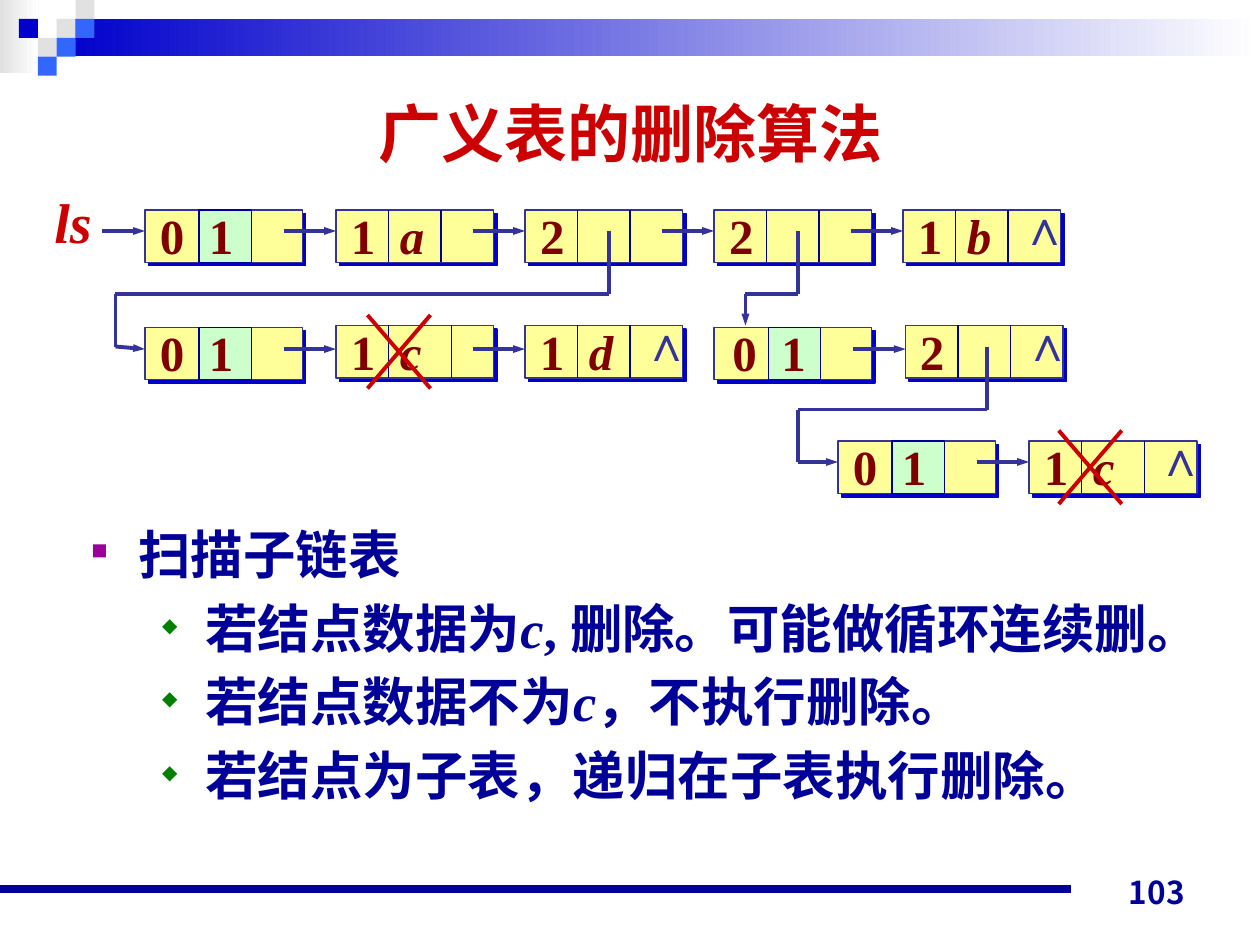
from itertools import pairwise
from lxml.etree import SubElement
from pptx import Presentation
from pptx.dml.color import RGBColor as RGB
from pptx.enum.shapes import MSO_CONNECTOR as CONN, MSO_SHAPE as SHAPE
from pptx.enum.text import MSO_ANCHOR as ANCHOR, PP_ALIGN as ALIGN
from pptx.oxml.ns import qn
from pptx.util import Pt


class Theme:
    royal, sky, silver, white = "0000CC", "3366FF", "E1E1E1", "FFFFFF"
    navy, indigo, red, maroon = "000099", "333399", "CC0000", "800000"
    node, header, purple, green = "FFFF99", "CCFFCC", "990099", "008000"
    serif, sans, cjk = "Times New Roman", "Arial", "Noto Sans CJK JP"
    title, head, body, cell, page = Pt(36), Pt(32), Pt(30), Pt(28), Pt(18)
    thin, link, rule = Pt(0.75), Pt(2.25), Pt(4.5)


prs = Presentation()
prs.slide_width, prs.slide_height = Pt(720), Pt(540)
s = prs.slides.add_slide(prs.slide_layouts[6])


def add_line(start, end, color, width, arrow=False):
    c = s.shapes.add_connector(CONN.STRAIGHT, *map(Pt, start + end))
    c.line.color.rgb = RGB.from_string(color)
    c.line.width = width
    if arrow:
        SubElement(c.get_or_add_ln(), qn("a:tailEnd"), type="triangle", w="sm")
    SubElement(c._element.spPr, qn("a:effectLst"))


def add_text(box, runs, color, fmt, wrap=False, anchor=ANCHOR.TOP, align=ALIGN.LEFT, tab=0):
    tf = s.shapes.add_textbox(*map(Pt, box)).text_frame
    tf.word_wrap = wrap
    tf.vertical_anchor = anchor
    p = tf.paragraphs[0]
    p.alignment = align
    if tab:
        tabs = SubElement(p._p.get_or_add_pPr(), qn("a:tabLst"))
        SubElement(tabs, qn("a:tab"), pos=str(Pt(tab)), algn="l")
    for text, italic in runs:
        r = p.add_run()
        r.text = text
        r.font.color.rgb = RGB.from_string(color)
        for key, value in {**fmt, "italic": italic}.items():
            setattr(r.font, key, value)


bands = [(0, 0, 22, 42, Theme.silver), (32.5, 10.8, 687.5, 21.5, Theme.royal)]
for x, y, w, h, color in bands:
    sp = s.shapes.add_shape(SHAPE.RECTANGLE, *map(Pt, (x, y, w, h)))
    sp.shadow.inherit = False
    sp.line.fill.background()
    sp.fill.gradient()
    sp.fill.gradient_angle = 0
    for stop, stop_color, pos in zip(sp.fill.gradient_stops, (color, Theme.white), (0, 1)):
        stop.color.rgb = RGB.from_string(stop_color)
        stop.position = pos

side = 10.8
tiles = [(3, 1, Theme.silver), (4, 0, Theme.silver), (4, 1, Theme.sky),
         (2, 2, Theme.silver), (1, 1, Theme.royal), (3, 2, Theme.sky), (2, 3, Theme.sky)]
for col, row, color in tiles:
    sp = s.shapes.add_shape(SHAPE.RECTANGLE, Pt(col * side), Pt(row * side), Pt(side), Pt(side))
    sp.shadow.inherit = False
    sp.line.fill.background()
    sp.fill.solid()
    sp.fill.fore_color.rgb = RGB.from_string(color)

add_line((0, 508), (612, 508), Theme.navy, Theme.rule)
add_text((516, 488, 168, 36), [("103", False)], Theme.navy,
         {"size": Theme.page, "name": Theme.cjk, "bold": True}, True, ANCHOR.BOTTOM, ALIGN.RIGHT)
add_text((36.5, 40, 648, 71), [("广义表的删除算法", False)], Theme.red,
         {"size": Theme.title, "name": Theme.sans, "bold": True},
         True, ANCHOR.MIDDLE, ALIGN.CENTER)

cell_fmt = {"size": Theme.cell, "name": Theme.serif, "bold": True}
chains = [
    (132, [(82.8, 120, 90, 1.5, "0", "1", (31, 61), False),
           (192, 120, 90, 1.5, "1", "a", (30, 60), False),
           (300, 120, 90, 1.5, "2", "", (30, 60), False),
           (408, 120, 90, 1.5, "2", "", (30, 60), False),
           (516, 120, 90, 1.5, "1", "b", (30, 60), True)]),
    (199.5, [(82.8, 187, 90, 1.5, "0", "1", (), False),
             (192, 186, 90, 1.5, "1", "c", (30, 66), False),
             (300, 186, 90, 1.5, "1", "d", (30, 60), True)]),
    (199.5, [(408, 187, 90, 3.5, "0", "1", (), False),
             (517.5, 186, 90, 1, "2", "", (30, 60), True)]),
    (264, [(478.8, 252, 90, 1.5, "0", "1", (), False),
           (588, 252, 96, 1.5, "1", "c", (30, 66), True)]),
]
links = [
    [(58.5, 132), (82.8, 132)],
    [(348, 132), (348, 168), (66, 168), (66, 198), (82.8, 199.5)],
    [(456, 132), (456, 168), (426, 168), (426, 186)],
    [(564, 198), (564, 234), (456, 234), (456, 264), (478.8, 264)],
]

for link_y, nodes in chains:
    for x, y, w, dx, tag, value, dividers, is_last in nodes:
        boxes = [(x, w, Theme.node, Theme.indigo)]
        if tag == "0":
            boxes.append((x + 31, 30, Theme.header, Theme.navy))
        for left, width, fill, outline in boxes:
            sp = s.shapes.add_shape(SHAPE.RECTANGLE, Pt(left), Pt(y), Pt(width), Pt(30))
            sp.fill.solid()
            sp.fill.fore_color.rgb = RGB.from_string(fill)
            sp.line.color.rgb = RGB.from_string(outline)
            sp.line.width = Theme.thin
            sp.shadow.inherit = False
            if fill == Theme.node:
                effects = sp._element.spPr.find(qn("a:effectLst"))
                shadow = SubElement(effects, qn("a:outerShdw"), dist=str(Pt(2.8)),
                                    dir="2700000", algn="ctr", rotWithShape="0")
                SubElement(shadow, qn("a:srgbClr"), val=Theme.royal)
        for offset in dividers:
            add_line((x + offset, y), (x + offset, y + 30), Theme.navy, Theme.thin)
        runs = [(tag + "\t", False), (value, value.isalpha())] if value else [(tag, False)]
        add_text((x + dx, y - 6, 72 if value else 29, 41), runs, Theme.maroon, cell_fmt,
                 wrap=bool(value), tab=28 if value else 0)
        if is_last:
            add_text((x + w - 30, y - 11, 32, 41), [("∧", False)], Theme.indigo, cell_fmt)
    links += [[(node[0] - 30, link_y), (node[0], link_y)] for node in nodes[1:]]

for points in links:
    for start, end in pairwise(points):
        add_line(start, end, Theme.indigo, Theme.link, end == points[-1])

for x, y in [(210, 180), (605, 246)]:
    add_line((x, y), (x + 36, y + 42), Theme.red, Theme.link)
    add_line((x + 36, y), (x, y + 42), Theme.red, Theme.link)

add_text((24, 103.5, 36, 45), [("ls", True)], Theme.red,
         {"size": Theme.head, "name": Theme.serif, "bold": True})

levels = [{"indent": 27, "margin": 27, "char": "■", "color": Theme.purple, "size": 43000},
          {"indent": 18, "margin": 58.5, "char": "◆", "color": Theme.green, "size": 38000}]
points = [
    (0, [("扫描子链表", False)]),
    (1, [(" 若结点数据为", False), ("c", True), (", 删除。可能做循环连续删。", False)]),
    (1, [(" 若结点数据不为", False), ("c", True), ("，不执行删除。", False)]),
    (1, [(" 若结点为子表，递归在子表执行删除。", False)]),
]
body_fmt = {"size": Theme.body, "name": Theme.serif, "bold": True}
tf = s.shapes.add_textbox(Pt(45), Pt(294.5), Pt(630), Pt(306)).text_frame
tf.word_wrap = True
for i, (level, runs) in enumerate(points):
    p = tf.add_paragraph() if i else tf.paragraphs[0]
    bullet = levels[level]
    pPr = p._p.get_or_add_pPr()
    pPr.set("marL", str(Pt(bullet["margin"])))
    pPr.set("indent", str(-Pt(bullet["indent"])))
    SubElement(SubElement(pPr, qn("a:buClr")), qn("a:srgbClr"), val=bullet["color"])
    SubElement(pPr, qn("a:buSzPct"), val=str(bullet["size"]))
    SubElement(pPr, qn("a:buChar"), char=bullet["char"])
    p.level = level
    p.line_spacing = Pt(36.5)
    p.space_before = Pt(5.5 if i else 0)
    for text, italic in runs:
        r = p.add_run()
        r.text = text
        r.font.color.rgb = RGB.from_string(Theme.navy)
        for key, value in {**body_fmt, "italic": italic}.items():
            setattr(r.font, key, value)

prs.save("out.pptx")
